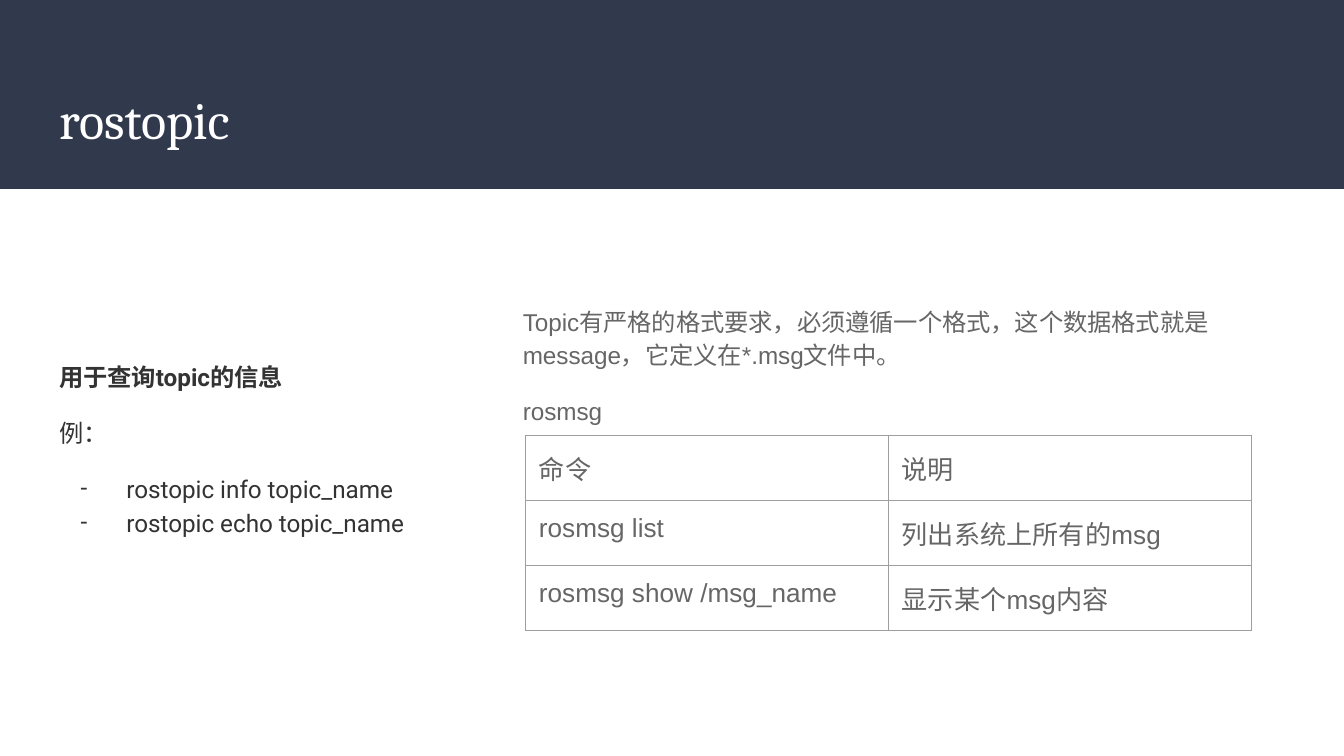
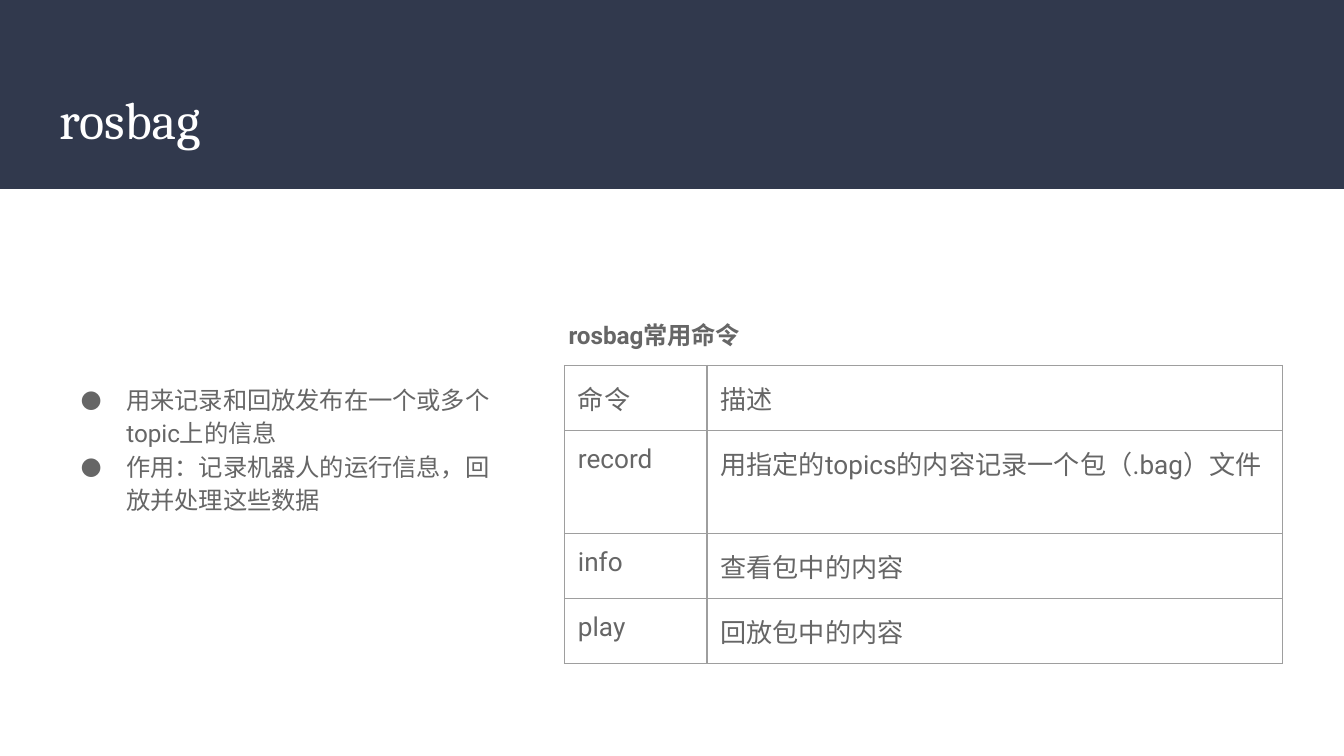
import pptx
import pptx.util
import pptx.dml.color
import pptx.enum.shapes
import pptx.enum.text
import pptx.oxml
import pptx.oxml.ns
from dataclasses import dataclass

Inches = pptx.util.Inches
Pt = pptx.util.Pt
Anchor = pptx.enum.text.MSO_ANCHOR


@dataclass(frozen=True)
class Theme:
    band: str = "31394D"
    title: str = "FFFFFF"
    dark: str = "333333"
    grey: str = "666666"
    border: str = "9E9E9E"
    serif: str = "Cambria"
    sans: str = "Roboto"
    plain: str = "Arial"
    title_size: int = 28
    body_size: int = 13
    table_size: int = 14
    border_width: float = 0.75
    line_spacing: float = 1.15


@dataclass(frozen=True)
class Line:
    text: str
    bold: bool = False
    bullet: str = ""
    before: int = 0
    after: int = 0


THEME = Theme()
WIDTH, HEIGHT = 10, 5.625
BAND_HEIGHT = HEIGHT / 4
MARGIN = 0.34
INSET = 0.1
HANGING = (0.5, -0.34)
TITLE_BOX = (MARGIN, 0.55, WIDTH - 2 * MARGIN, 0.68)
SUMMARY_TOP, SUMMARY_HEIGHT = 1.65, 3.36
DETAIL_WIDTH = 5.46

TOPICS = [
    {
        "title": "rostopic",
        "summary": [
            Line("用于查询topic的信息", bold=True),
            Line("例：", before=12),
            Line("rostopic info topic_name", bullet="-", before=12),
            Line("rostopic echo topic_name", bullet="-"),
        ],
        "summary_color": THEME.dark,
        "summary_width": 3.14,
        "detail": [
            Line("Topic有严格的格式要求，必须遵循一个格式，这个数据格式就是message，它定义在*.msg文件中。"),
            Line("rosmsg", before=12, after=12),
        ],
        "detail_at": (3.79, 2.15),
        "detail_height": 1.09,
        "detail_font": THEME.plain,
        "commands": [
            ("命令", "说明"),
            ("rosmsg list", "列出系统上所有的msg"),
            ("rosmsg show /msg_name", "显示某个msg内容"),
        ],
        "commands_at": (3.91, 3.24),
        "columns": (2.7, 2.7),
        "row_height": 0.42,
    },
    {
        "title": "rosbag",
        "summary": [
            Line("用来记录和回放发布在一个或多个topic上的信息", bullet="●"),
            Line("作用：记录机器人的运行信息，回放并处理这些数据", bullet="●"),
        ],
        "summary_color": THEME.grey,
        "summary_width": 3.45,
        "detail": [Line("rosbag常用命令", bold=True)],
        "detail_at": (4.13, 2.25),
        "detail_height": 0.46,
        "detail_font": THEME.sans,
        "commands": [
            ("命令", "描述"),
            ("record", "用指定的topics的内容记录一个包（.bag）文件"),
            ("info", "查看包中的内容"),
            ("play", "回放包中的内容"),
        ],
        "commands_at": (4.2, 2.72),
        "columns": (1.06, 4.28),
        "row_height": 0.47,
    },
]


def rgb(color):
    return pptx.dml.color.RGBColor.from_string(color)


def add_xml(parent, tag, **attributes):
    child = pptx.oxml.parse_xml(f"<{tag} {pptx.oxml.ns.nsdecls('a')}/>")
    for name, value in attributes.items():
        child.set(name, str(value))
    parent.append(child)
    return child


def add_run(paragraph, text, font, size, color, bold=False):
    run = paragraph.add_run()
    run.text = text
    run.font.name = font
    run.font.size = Pt(size)
    run.font.bold = bold
    run.font.color.rgb = rgb(color)


def set_insets(target):
    target.margin_left = target.margin_right = Inches(INSET)
    target.margin_top = target.margin_bottom = Inches(INSET)


def prepare(placeholder, box, anchor):
    placeholder.left, placeholder.top, placeholder.width, placeholder.height = map(Inches, box)
    frame = placeholder.text_frame
    frame.word_wrap = True
    frame.auto_size = pptx.enum.text.MSO_AUTO_SIZE.NONE
    frame.vertical_anchor = anchor
    set_insets(frame)
    return frame


def set_bullet(paragraph, bullet, font, color):
    properties = paragraph._p.get_or_add_pPr()
    left, indent = HANGING if bullet else (0, 0)
    properties.set("marL", str(Inches(left)))
    properties.set("indent", str(Inches(indent)))
    if bullet:
        add_xml(add_xml(properties, "a:buClr"), "a:srgbClr", val=color)
        add_xml(properties, "a:buFont", typeface=font)
        add_xml(properties, "a:buChar", char=bullet)
    else:
        add_xml(properties, "a:buNone")


def fill_lines(frame, lines, font, color):
    for number, line in enumerate(lines):
        paragraph = frame.add_paragraph() if number else frame.paragraphs[0]
        paragraph.line_spacing = THEME.line_spacing
        paragraph.space_before = Pt(line.before)
        paragraph.space_after = Pt(line.after)
        set_bullet(paragraph, line.bullet, font, color)
        add_run(paragraph, line.text, font, THEME.body_size, color, line.bold)


def set_borders(cell):
    properties = cell._tc.get_or_add_tcPr()
    for side in ("a:lnL", "a:lnR", "a:lnT", "a:lnB"):
        border = add_xml(properties, side, w=Pt(THEME.border_width))
        add_xml(add_xml(border, "a:solidFill"), "a:srgbClr", val=THEME.border)


def add_commands(slide, topic):
    rows, columns = topic["commands"], topic["columns"]
    left, top = topic["commands_at"]
    size = sum(columns), topic["row_height"] * len(rows)
    table = slide.shapes.add_table(
        len(rows), len(columns), *map(Inches, (left, top, *size))
    ).table
    table.first_row = table.horz_banding = False
    for column, width in zip(table.columns, columns):
        column.width = Inches(width)
    for row, texts in zip(table.rows, rows):
        row.height = Inches(topic["row_height"])
        for cell, text in zip(row.cells, texts):
            set_insets(cell)
            set_borders(cell)
            cell.fill.background()
            add_run(cell.text_frame.paragraphs[0], text, topic["detail_font"],
                    THEME.table_size, THEME.grey)


def add_topic(deck, layout, topic):
    slide = deck.slides.add_slide(layout)
    title, summary, detail = slide.placeholders

    heading = prepare(title, TITLE_BOX, Anchor.TOP).paragraphs[0]
    heading.alignment = pptx.enum.text.PP_ALIGN.LEFT
    add_run(heading, topic["title"], THEME.serif, THEME.title_size, THEME.title)

    summary_box = (MARGIN, SUMMARY_TOP, topic["summary_width"], SUMMARY_HEIGHT)
    fill_lines(prepare(summary, summary_box, Anchor.MIDDLE),
               topic["summary"], THEME.sans, topic["summary_color"])

    detail_box = (*topic["detail_at"], DETAIL_WIDTH, topic["detail_height"])
    fill_lines(prepare(detail, detail_box, Anchor.TOP),
               topic["detail"], topic["detail_font"], THEME.grey)
    add_commands(slide, topic)
    return slide


def add_band(slide, layout):
    band = slide.shapes.add_shape(
        pptx.enum.shapes.MSO_SHAPE.RECTANGLE, 0, 0, Inches(WIDTH), Inches(BAND_HEIGHT)
    )
    band.shadow.inherit = False
    band.fill.solid()
    band.fill.fore_color.rgb = rgb(THEME.band)
    band.line.fill.background()
    layout.shapes.element.insert(2, band.element)


def main():
    deck = pptx.Presentation()
    deck.slide_width, deck.slide_height = Inches(WIDTH), Inches(HEIGHT)
    layout = deck.slide_layouts.get_by_name("Two Content")
    slides = [add_topic(deck, layout, topic) for topic in TOPICS]
    add_band(slides[0], layout)
    deck.save("out.pptx")


if __name__ == "__main__":
    main()
